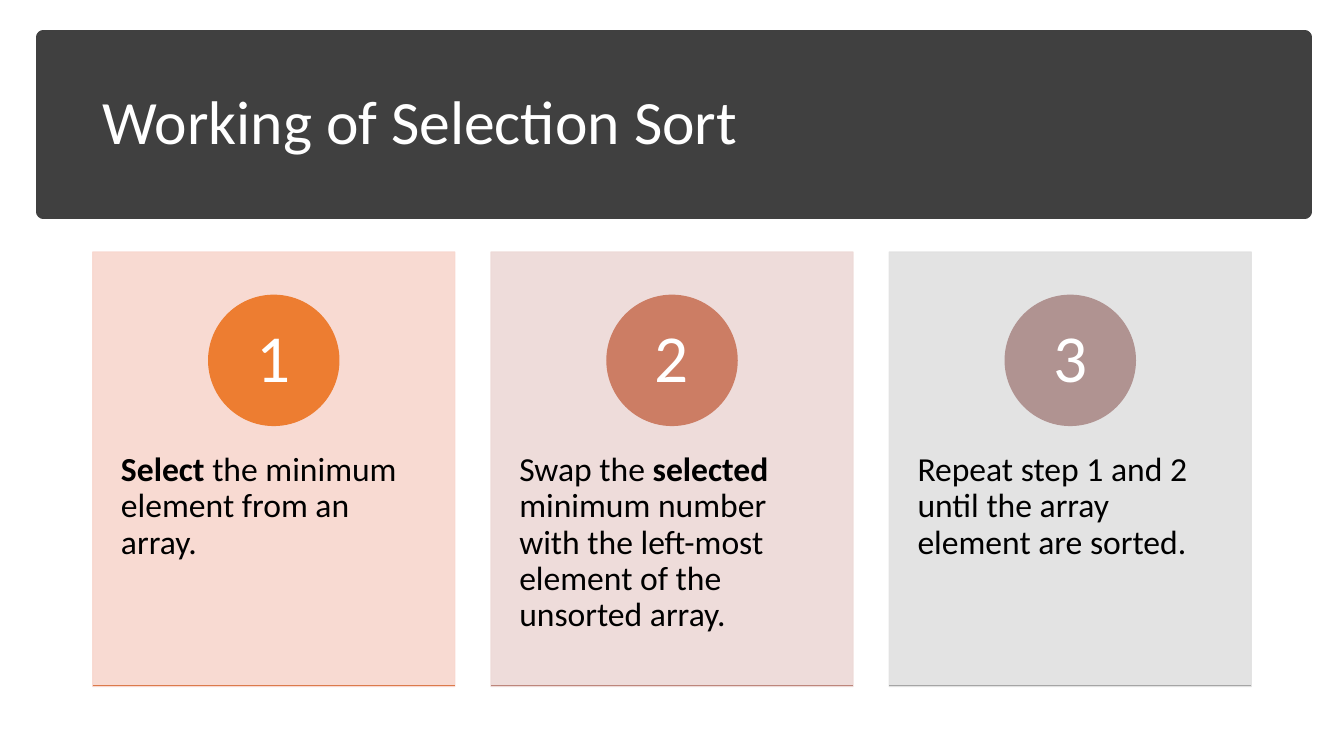
from lxml import etree
from pptx import Presentation
from pptx.dml.color import RGBColor
from pptx.enum.shapes import MSO_CONNECTOR, MSO_SHAPE
from pptx.enum.text import MSO_ANCHOR, PP_ALIGN
from pptx.oxml.ns import qn
from pptx.util import Inches, Pt

RECT, OVAL = MSO_SHAPE.RECTANGLE, MSO_SHAPE.OVAL
STRAIGHT = MSO_CONNECTOR.STRAIGHT
TOP, MIDDLE = MSO_ANCHOR.TOP, MSO_ANCHOR.MIDDLE
LEFT, CENTER = PP_ALIGN.LEFT, PP_ALIGN.CENTER

WHITE = RGBColor(0xFF, 0xFF, 0xFF)
BLACK = RGBColor(0x00, 0x00, 0x00)
CHARCOAL = RGBColor(0x40, 0x40, 0x40)
PEACH = RGBColor(0xF8, 0xD7, 0xCE)
ROSE = RGBColor(0xED, 0xD9, 0xD7)
SILVER = RGBColor(0xE1, 0xE1, 0xE1)
ORANGE = RGBColor(0xED, 0x7D, 0x31)
TERRACOTTA = RGBColor(0xCC, 0x7D, 0x64)
MAUVE = RGBColor(0xB0, 0x93, 0x91)
RUST = RGBColor(0xDC, 0x7A, 0x4B)
CLAY = RGBColor(0xBD, 0x86, 0x7B)
GREY = RGBColor(0xA5, 0xA5, 0xA5)


class Deck:
    font = "Calibri"
    line_spacing = 0.9

    def __init__(self, slide):
        self.slide = slide

    def shape(self, kind, x, y, w, h, color, line=1, opacity=100):
        s = self.slide.shapes.add_shape(kind, Inches(x), Inches(y), Inches(w), Inches(h))
        s.shadow.inherit = False
        s.fill.solid()
        s.fill.fore_color.rgb = color
        s.line.color.rgb = color
        s.line.width = Pt(line)
        if opacity < 100:
            for clr in s._element.spPr.iter(qn("a:srgbClr")):
                etree.SubElement(clr, qn("a:alpha"), val=str(opacity * 1000))
        return s

    def rule(self, x, y, w, color):
        c = self.slide.shapes.add_connector(
            STRAIGHT, Inches(x), Inches(y), Inches(x + w), Inches(y))
        c.line.color.rgb = color
        c.line.width = Pt(1)
        etree.SubElement(c._element.spPr, qn("a:effectLst"))

    def text(self, x, y, w, h, runs, size, color, inset=(0.1, 0.05),
             anchor=TOP, align=LEFT, after=0):
        s = self.slide.shapes.add_textbox(Inches(x), Inches(y), Inches(w), Inches(h))
        tf = s.text_frame
        tf.word_wrap = True
        tf.vertical_anchor = anchor
        tf.margin_left = tf.margin_right = Inches(inset[0])
        tf.margin_top = tf.margin_bottom = Inches(inset[1])
        p = tf.paragraphs[0]
        p.alignment = align
        p.line_spacing = self.line_spacing
        p.space_after = Pt(after)
        for words, bold in runs:
            r = p.add_run()
            r.text = words
            r.font.name = self.font
            r.font.size = Pt(size)
            r.font.bold = bold
            r.font.color.rgb = color


prs = Presentation()
prs.slide_width, prs.slide_height = Inches(13.33), Inches(7.5)
deck = Deck(prs.slides.add_slide(prs.slide_layouts[6]))

# Title band
deck.shape(RECT, 0.43, 0.37, 12.51, 1.73, CHARCOAL, line=10)
deck.text(0.92, 0.51, 11.5, 1.45, [("Working of Selection Sort", False)], 44, WHITE,
          anchor=MIDDLE)

# Step cards: card, circle and rule colours, then the step's runs
STEPS = [
    (PEACH, ORANGE, RUST,
     [("Select", True), (" the minimum element from an array.", False)]),
    (ROSE, TERRACOTTA, CLAY,
     [("Swap the ", False), ("selected", True),
      (" minimum number with the left-most element of the unsorted array.", False)]),
    (SILVER, MAUVE, GREY,
     [("Repeat step 1 and 2 until the array element are sorted.", False)]),
]
CARD_X, CARD_Y, CARD_W, CARD_H, PITCH = 0.92, 2.5, 3.59, 4.31, 3.95
CIRCLE, NUMBER = 1.29, 0.91

for i, (card, circle, rule, runs) in enumerate(STEPS):
    x = CARD_X + i * PITCH
    middle = x + CARD_W / 2
    deck.shape(RECT, x, CARD_Y, CARD_W, CARD_H, card, opacity=90)
    deck.text(x, 4.13, CARD_W, 2.58, runs, 24, BLACK, inset=(0.28, 0.36), after=8.4)
    deck.shape(OVAL, middle - CIRCLE / 2, 2.93, CIRCLE, CIRCLE, circle)
    deck.text(middle - NUMBER / 2, 3.12, NUMBER, NUMBER, [(str(i + 1), False)], 48, WHITE,
              inset=(0.1, 0.01), anchor=MIDDLE, align=CENTER)
    deck.rule(x, 6.8, CARD_W, rule)

prs.save("out.pptx")
